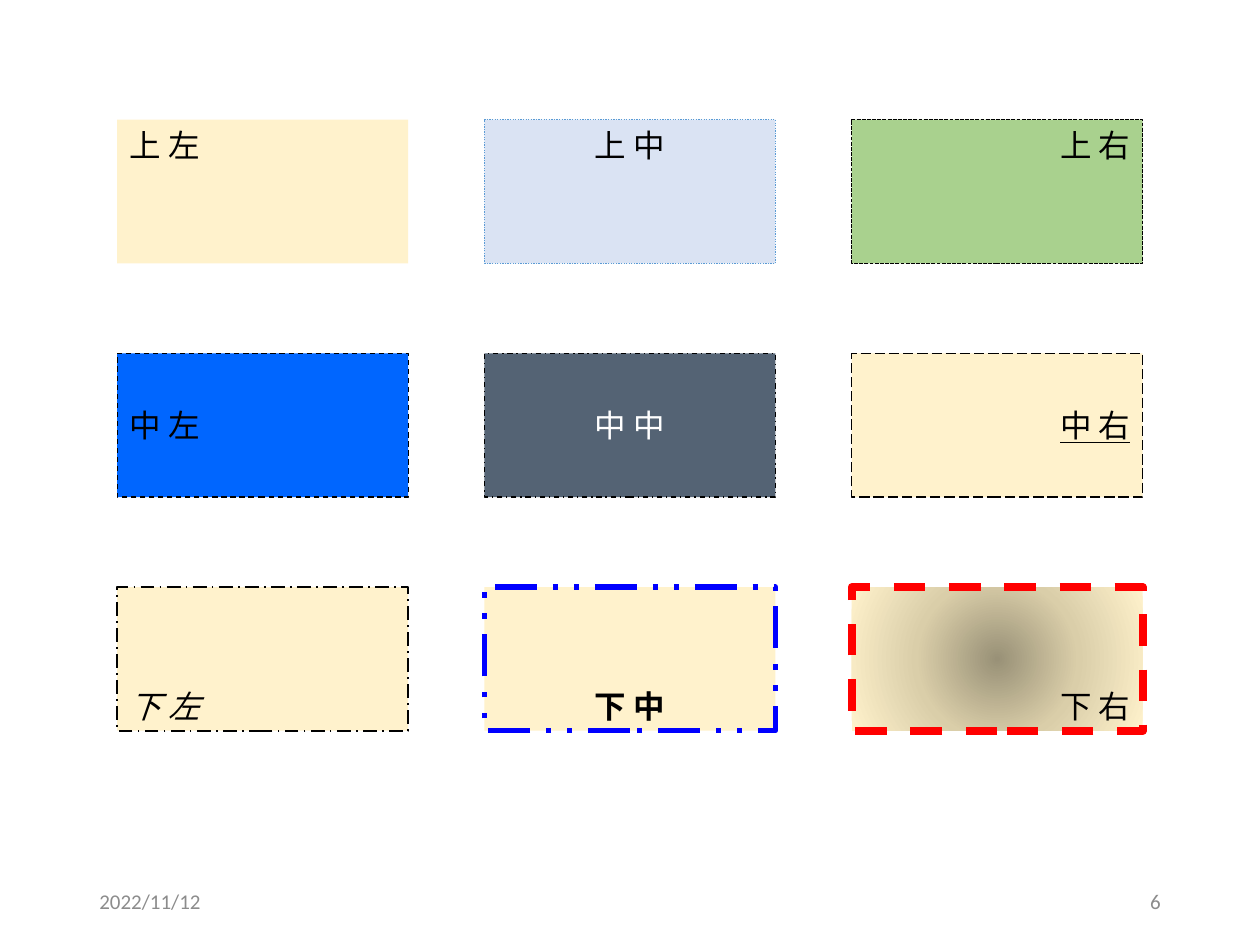
from lxml import etree
from pptx import Presentation
from pptx.dml.color import RGBColor
from pptx.enum.dml import MSO_LINE
from pptx.enum.shapes import MSO_SHAPE
from pptx.enum.text import MSO_ANCHOR, PP_ALIGN
from pptx.oxml.ns import qn
from pptx.util import Inches, Pt

RECT = MSO_SHAPE.RECTANGLE
LEFT, CENTER, RIGHT = PP_ALIGN.LEFT, PP_ALIGN.CENTER, PP_ALIGN.RIGHT
TOP, MIDDLE, BOTTOM = MSO_ANCHOR.TOP, MSO_ANCHOR.MIDDLE, MSO_ANCHOR.BOTTOM

THEME = {
    "font": "Calibri", "body": 18, "foot": 12,
    "black": "000000", "white": "FFFFFF", "gray": "8C8C8C",
    "cream": "FFF2CC", "pale": "DAE3F3", "green": "A9D18E",
    "azure": "0066FF", "slate": "546374", "sky": "5B9BD5",
    "blue": "0000FF", "red": "FF0000",
    "glow": [(0, "999177"), (50, "DACEA9"), (100, "FFF2CC")],
}


def write(shape, text, size, color, align, anchor):
    """Put one line of text in a shape and return its font."""
    frame = shape.text_frame
    frame.word_wrap = True
    frame.vertical_anchor = anchor
    frame.text = text
    line = frame.paragraphs[0]
    line.alignment = align
    font = line.runs[0].font
    font.name = THEME["font"]
    font.size = Pt(size)
    font.color.rgb = RGBColor.from_string(THEME[color])
    return font


def radiate(shape, stops):
    """Fill a shape with a gradient that spreads from its centre."""
    shape.fill.gradient()
    grad = shape._element.spPr.find(qn("a:gradFill"))
    for child in list(grad):
        grad.remove(child)
    group = etree.SubElement(grad, qn("a:gsLst"))
    for pos, color in stops:
        stop = etree.SubElement(group, qn("a:gs"), pos=str(pos * 1000))
        etree.SubElement(stop, qn("a:srgbClr"), val=color)
    course = etree.SubElement(grad, qn("a:path"))
    course.set("path", "circle")
    etree.SubElement(course, qn("a:fillToRect"),
                     l="50000", t="50000", r="50000", b="50000")


deck = Presentation()
deck.slide_width, deck.slide_height = Inches(10), Inches(7.5)
slide = deck.slides.add_slide(deck.slide_layouts[6])

# Text, fill, line (color, width, dash), text color, font style
boxes = [
    ("上 左", "cream", None, "black", None),
    ("上 中", "pale", ("sky", 0.75, MSO_LINE.ROUND_DOT), "black", None),
    ("上 右", "green", ("black", 0.75, MSO_LINE.SQUARE_DOT), "black", None),
    ("中 左", "azure", ("black", 0.75, MSO_LINE.DASH), "black", None),
    ("中 中", "slate", ("black", 0.75, MSO_LINE.DASH_DOT), "white", None),
    ("中 右", "cream", ("black", 0.75, MSO_LINE.LONG_DASH), "black", "underline"),
    ("下 左", "cream", ("black", 1, MSO_LINE.LONG_DASH_DOT), "black", "italic"),
    ("下 中", "cream", ("blue", 3, MSO_LINE.DASH_DOT_DOT), "black", "bold"),
    ("下 右", "glow", ("red", 4.5, MSO_LINE.DASH), "black", None),
]
aligns = [LEFT, CENTER, RIGHT]
anchors = [TOP, MIDDLE, BOTTOM]

for index, (text, fill, line, color, style) in enumerate(boxes):
    row, col = divmod(index, 3)
    box = slide.shapes.add_shape(
        RECT, Inches(0.93 + 2.915 * col), Inches(0.95 + 1.855 * row),
        Inches(2.31), Inches(1.14))
    box.shadow.inherit = False
    if fill == "glow":
        radiate(box, THEME[fill])
    else:
        box.fill.solid()
        box.fill.fore_color.rgb = RGBColor.from_string(THEME[fill])
    if line:
        hue, width, dash = line
        box.line.color.rgb = RGBColor.from_string(THEME[hue])
        box.line.width = Pt(width)
        box.line.dash_style = dash
    else:
        box.line.fill.background()
    font = write(box, text, THEME["body"], color, aligns[col], anchors[row])
    if style:
        setattr(font, style, True)

for text, left, align in [("2022/11/12", 0.69, LEFT), ("6", 7.06, RIGHT)]:
    foot = slide.shapes.add_textbox(
        Inches(left), Inches(6.95), Inches(2.25), Inches(0.4))
    write(foot, text, THEME["foot"], "gray", align, MIDDLE)

deck.save("out.pptx")
